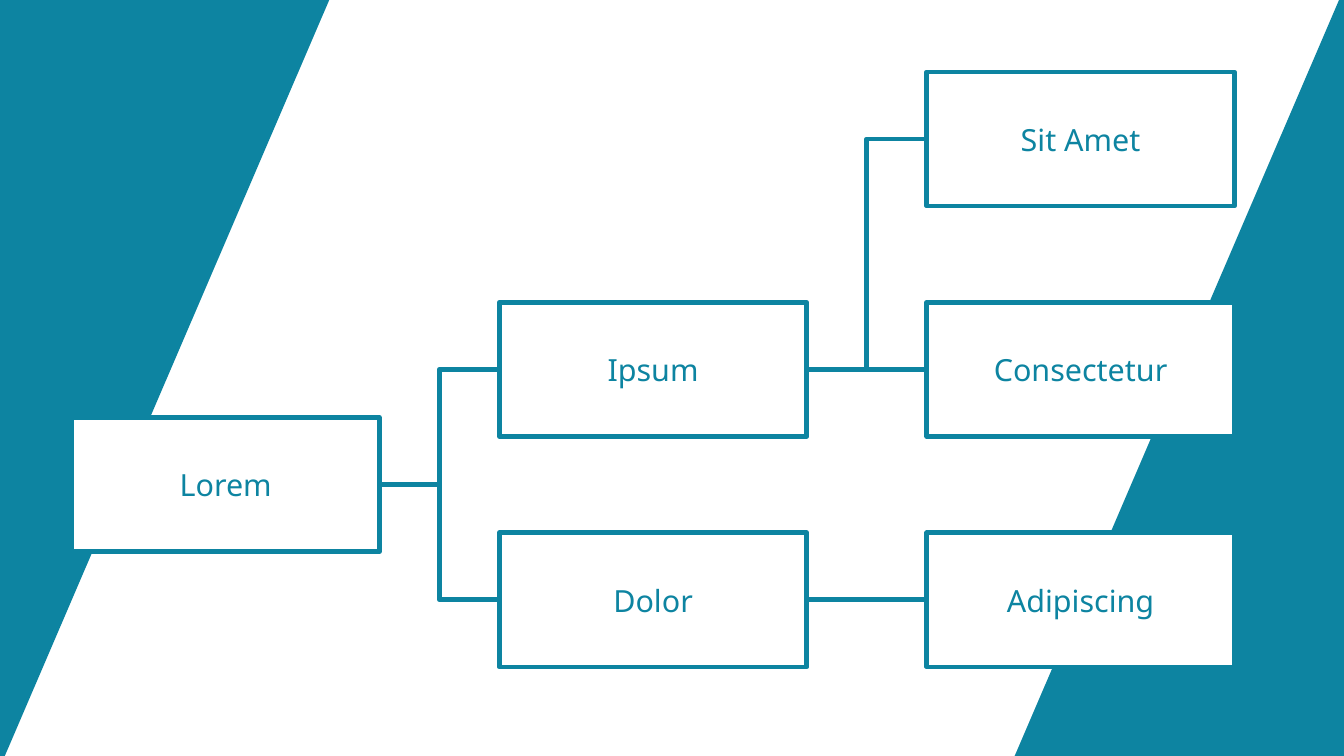
import pptx
import pptx.dml.color
import pptx.enum.shapes
import pptx.enum.text
import pptx.util
from lxml import etree
from pptx.util import Inches

TEAL = pptx.dml.color.RGBColor(0x0D, 0x84, 0xA1)
WHITE = pptx.dml.color.RGBColor(0xFF, 0xFF, 0xFF)
LINE_WIDTH = pptx.util.Pt(2.83)
SLIDE_W, SLIDE_H = 11.02, 6.2
WEDGE_W, WEDGE_TIP = 2.7, 0.04
BOX_W, BOX_H = 2.52, 1.1
COLUMN_STEP, ROW_STEP = 3.505, 1.89

NODES = {
    "Lorem": (0, 1.5),
    "Ipsum": (1, 1),
    "Dolor": (1, 2),
    "Sit Amet": (2, 0),
    "Consectetur": (2, 1),
    "Adipiscing": (2, 2),
}
LINKS = [
    ("Lorem", "Ipsum"),
    ("Lorem", "Dolor"),
    ("Dolor", "Adipiscing"),
    ("Ipsum", "Sit Amet"),
    ("Ipsum", "Consectetur"),
]


def add_wedge(s, left, top, width, height, turned=False):
    """Draw a slanted side panel, turned half way round for the right edge."""
    points = [(0, height), (0, 0), (width, 0), (WEDGE_TIP, height)]
    if turned:
        points = [(width - x, height - y) for x, y in points]
    points = [(Inches(left + x), Inches(top + y)) for x, y in points]
    builder = s.shapes.build_freeform(*points[0])
    builder.add_line_segments(points[1:], close=True)
    sp = builder.convert_to_shape()
    sp.shadow.inherit = False
    sp.fill.solid()
    sp.fill.fore_color.rgb = TEAL
    sp.line.fill.background()


def add_node(s, text, left, top, width, height):
    """Draw one outlined box with centred text and return it."""
    sp = s.shapes.add_shape(
        pptx.enum.shapes.MSO_SHAPE.RECTANGLE,
        Inches(left), Inches(top), Inches(width), Inches(height))
    sp.shadow.inherit = False
    sp.fill.solid()
    sp.fill.fore_color.rgb = WHITE
    sp.line.color.rgb = TEAL
    sp.line.width = LINE_WIDTH
    tf = sp.text_frame
    tf.margin_left = tf.margin_right = tf.margin_top = tf.margin_bottom = 0
    tf.word_wrap = False
    tf.vertical_anchor = pptx.enum.text.MSO_ANCHOR.MIDDLE
    p = tf.paragraphs[0]
    p.alignment = pptx.enum.text.PP_ALIGN.CENTER
    r = p.add_run()
    r.text = text
    r.font.name = "Noto Sans"
    r.font.size = pptx.util.Pt(18)
    r.font.color.rgb = TEAL
    return sp


def add_link(s, parent, child):
    """Join the right side of the parent to the left side of the child."""
    kinds = pptx.enum.shapes.MSO_CONNECTOR
    kind = kinds.STRAIGHT if parent.top == child.top else kinds.ELBOW
    link = s.shapes.add_connector(
        kind, parent.left + parent.width, parent.top + parent.height // 2,
        child.left, child.top + child.height // 2)
    link.begin_connect(parent, 3)
    link.end_connect(child, 1)
    link.line.color.rgb = TEAL
    link.line.width = LINE_WIDTH
    etree.SubElement(link._element.spPr, pptx.oxml.ns.qn("a:effectLst"))


def add_tree(s, left, top):
    """Place the boxes on their grid and link them."""
    boxes = {
        text: add_node(s, text, left + column * COLUMN_STEP,
                       top + row * ROW_STEP, BOX_W, BOX_H)
        for text, (column, row) in NODES.items()
    }
    for parent, child in LINKS:
        add_link(s, boxes[parent], boxes[child])


def main():
    """Build the slide and save it."""
    prs = pptx.Presentation()
    prs.slide_width = Inches(SLIDE_W)
    prs.slide_height = Inches(SLIDE_H)
    s = prs.slides.add_slide(prs.slide_layouts[6])
    s.background.fill.solid()
    s.background.fill.fore_color.rgb = WHITE
    add_wedge(s, SLIDE_W - WEDGE_W, 0, WEDGE_W, SLIDE_H, turned=True)
    add_wedge(s, 0, 0, WEDGE_W, SLIDE_H)
    add_tree(s, 0.59, 0.59)
    prs.save("out.pptx")


if __name__ == "__main__":
    main()
